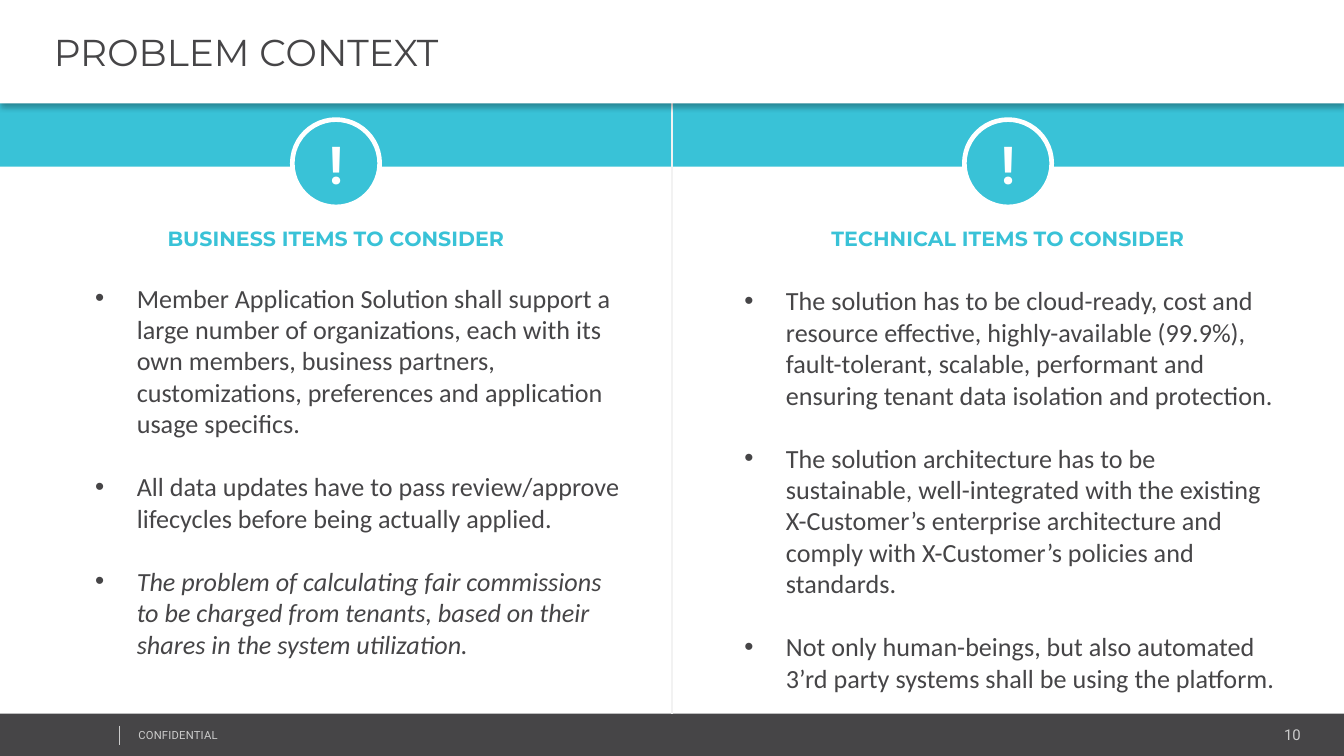
from dataclasses import dataclass

import lxml.etree
import pptx
import pptx.dml.color
import pptx.enum.shapes
import pptx.enum.text
import pptx.oxml.ns
import pptx.util

Align = pptx.enum.text.PP_ALIGN
Anchor = pptx.enum.text.MSO_ANCHOR
Shape = pptx.enum.shapes.MSO_SHAPE
qn = pptx.oxml.ns.qn
inches = pptx.util.Inches
points = pptx.util.Pt


@dataclass(frozen=True)
class Theme:
    accent: str = "39C2D7"
    dark: str = "464547"
    white: str = "FFFFFF"
    divider: str = "F2F2F2"
    muted: str = "CCCCCC"
    heading_font: str = "Montserrat"
    body_font: str = "Calibri"
    label_font: str = "Roboto"
    title_size: float = 20
    badge_size: float = 28
    body_size: float = 14
    heading_size: float = 11
    number_size: float = 8
    label_size: float = 6


@dataclass(frozen=True)
class Area:
    left: float
    top: float
    width: float
    height: float

    def lengths(self) -> list:
        return [inches(v) for v in (self.left, self.top, self.width, self.height)]


@dataclass(frozen=True)
class Item:
    text: str
    italic: bool = False


@dataclass(frozen=True)
class Column:
    heading: str
    body: Area
    items: tuple


THEME = Theme()
WIDTH = 10
HEIGHT = WIDTH * 9 / 16
HALF = WIDTH / 2
TITLE_HEIGHT, FOOTER_TOP = 0.77, 5.31
BADGE = 0.65
HEADING_WIDTH = 3.25
INDENT = 0.31

COLUMNS = (
    Column("BUSINESS ITEMS TO CONSIDER", Area(0.61, 2.05, 4.14, 3), (
        Item("Member Application Solution shall support a large number of "
             "organizations, each with its own members, business partners, "
             "customizations, preferences and application usage specifics."),
        Item("All data updates have to pass review/approve lifecycles before "
             "being actually applied."),
        Item("The problem of calculating fair commissions to be charged from "
             "tenants, based on their shares in the system utilization.", True),
    )),
    Column("TECHNICAL ITEMS TO CONSIDER", Area(5.44, 2.07, 4.23, 3.16), (
        Item("The solution has to be cloud-ready, cost and resource effective, "
             "highly-available (99.9%), fault-tolerant, scalable, performant "
             "and ensuring tenant data isolation and protection."),
        Item("The solution architecture has to be sustainable, well-integrated "
             "with the existing X-Customer’s enterprise architecture and "
             "comply with X-Customer’s policies and standards."),
        Item("Not only human-beings, but also automated 3’rd party systems "
             "shall be using the platform."),
    )),
)


def rgb(color: str):
    return pptx.dml.color.RGBColor.from_string(color)


def style(para, font: str, size: float, color: str, bold=False, italic=False) -> None:
    para.font.name = font
    para.font.size = points(size)
    para.font.color.rgb = rgb(color)
    para.font.bold = bold
    para.font.italic = italic


def add_filled(page, kind, area: Area, color: str):
    shape = page.shapes.add_shape(kind, *area.lengths())
    shape.shadow.inherit = False
    shape.fill.solid()
    shape.fill.fore_color.rgb = rgb(color)
    shape.line.fill.background()
    return shape


def add_rule(page, x: float, top: float, bottom: float, color: str, weight: float) -> None:
    rule = page.shapes.add_connector(
        pptx.enum.shapes.MSO_CONNECTOR.STRAIGHT,
        inches(x), inches(top), inches(x), inches(bottom))
    rule.line.color.rgb = rgb(color)
    rule.line.width = points(weight)
    lxml.etree.SubElement(rule._element.spPr, qn("a:effectLst"))


def add_text(page, area: Area, text: str, align, font: str, size: float,
             color: str, bold=False, inset=(0.1, 0.05)):
    frame = page.shapes.add_textbox(*area.lengths()).text_frame
    frame.word_wrap = True
    frame.margin_left = frame.margin_right = inches(inset[0])
    frame.margin_top = frame.margin_bottom = inches(inset[1])
    para = frame.paragraphs[0]
    para.text = text
    para.alignment = align
    style(para, font, size, color, bold)
    return para


def add_title(page, text: str) -> None:
    title = page.shapes.title
    title.left, title.top, title.width, title.height = Area(
        0, 0, WIDTH, TITLE_HEIGHT).lengths()
    title.fill.solid()
    title.fill.fore_color.rgb = rgb(THEME.white)
    # Soft shadow falling on the band below
    effects = lxml.etree.SubElement(title._element.spPr, qn("a:effectLst"))
    shadow = lxml.etree.SubElement(
        effects, qn("a:outerShdw"), blurRad=str(points(3.1)),
        dist=str(points(2)), dir="5400000", algn="t", rotWithShape="0")
    color = lxml.etree.SubElement(shadow, qn("a:srgbClr"), val="000000")
    lxml.etree.SubElement(color, qn("a:alpha"), val="30000")
    frame = title.text_frame
    frame.text = text
    frame.auto_size = pptx.enum.text.MSO_AUTO_SIZE.NONE
    frame.vertical_anchor = Anchor.MIDDLE
    frame.margin_left, frame.margin_right = inches(0.4), inches(0.07)
    frame.margin_top = frame.margin_bottom = inches(0.04)
    para = frame.paragraphs[0]
    para.alignment = Align.LEFT
    style(para, THEME.heading_font, THEME.title_size, THEME.dark)
    # Bring the title in front of the band
    page.shapes._spTree.append(title._element)


def add_badge(page, center: float) -> None:
    badge = add_filled(page, Shape.OVAL,
                       Area(center - BADGE / 2, 0.89, BADGE, BADGE), THEME.accent)
    badge.line.color.rgb = rgb(THEME.white)
    badge.line.width = points(2.5)
    badge.text_frame.vertical_anchor = Anchor.MIDDLE
    para = badge.text_frame.paragraphs[0]
    para.text = "!"
    para.alignment = Align.CENTER
    style(para, THEME.label_font, THEME.badge_size, THEME.white, bold=True)


def add_bullets(page, area: Area, items: tuple) -> None:
    frame = page.shapes.add_textbox(*area.lengths()).text_frame
    frame.word_wrap = True
    for number, item in enumerate(items):
        para = frame.add_paragraph() if number else frame.paragraphs[0]
        para.text = item.text
        if number:
            para.space_before = points(17)
        props = para._p.get_or_add_pPr()
        props.set("marL", str(inches(INDENT)))
        props.set("indent", str(-inches(INDENT)))
        lxml.etree.SubElement(props, qn("a:buFont"), typeface="Arial")
        lxml.etree.SubElement(props, qn("a:buChar"), char="•")
        style(para, THEME.body_font, THEME.body_size, THEME.dark, italic=item.italic)


def add_footer(page) -> None:
    add_filled(page, Shape.RECTANGLE,
               Area(0, FOOTER_TOP, WIDTH, HEIGHT - FOOTER_TOP), THEME.dark)
    add_text(page, Area(8.12, 5.36, 1.63, 0.21), "10", Align.RIGHT,
             THEME.label_font, THEME.number_size, THEME.muted, inset=(0.07, 0.04))
    label = add_text(page, Area(0.96, 5.38, 2.53, 0.18), "CONFIDENTIAL", Align.LEFT,
                     THEME.label_font, THEME.label_size, THEME.muted, inset=(0.07, 0.04))
    # Letter spacing in hundredths of a point
    label.runs[0]._r.get_or_add_rPr().set("spc", "10")
    add_rule(page, 0.89, 5.4, 5.54, THEME.muted, 0.25)


def main() -> None:
    deck = pptx.Presentation()
    deck.slide_width, deck.slide_height = inches(WIDTH), inches(HEIGHT)
    page = deck.slides.add_slide(deck.slide_layouts.get_by_name("Title Only"))

    # Footer, band and divider lie behind the title
    add_footer(page)
    add_filled(page, Shape.RECTANGLE, Area(0, 0.76, WIDTH, 0.48), THEME.accent)
    add_rule(page, HALF, TITLE_HEIGHT, FOOTER_TOP, THEME.divider, 1.5)
    add_title(page, "PROBLEM CONTEXT")

    # One badge, heading and list in each half
    for number, column in enumerate(COLUMNS):
        center = HALF * (number + 0.5)
        add_badge(page, center)
        add_text(page, Area(center - HEADING_WIDTH / 2, 1.63, HEADING_WIDTH, 0.29),
                 column.heading, Align.CENTER, THEME.heading_font,
                 THEME.heading_size, THEME.accent, bold=True)
        add_bullets(page, column.body, column.items)

    deck.save("out.pptx")


if __name__ == "__main__":
    main()
